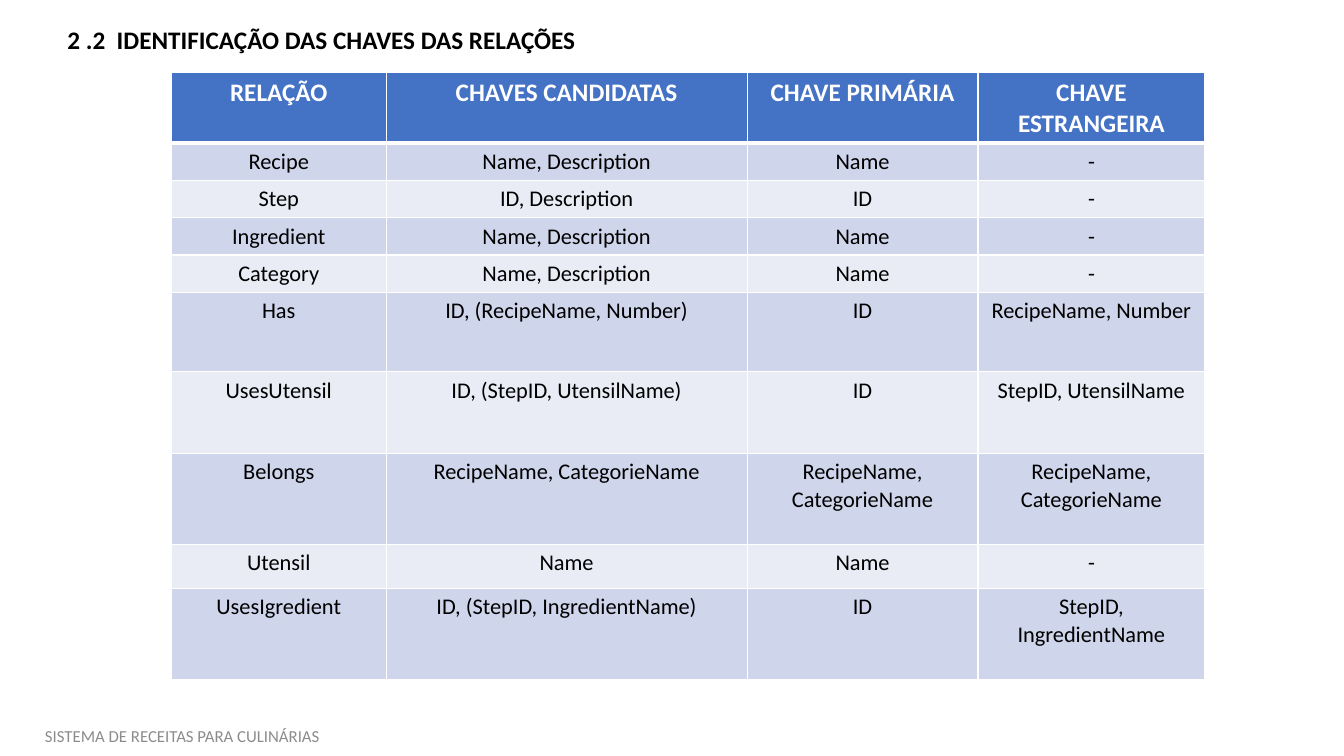
from lxml import etree
from pptx import Presentation
from pptx import util as u
from pptx.dml import color
from pptx.enum import text
from pptx.oxml import ns

FONT = "Calibri"
BLACK, WHITE, GREY = "000000", "FFFFFF", "8C8C8C"
HEADER_FILL = "4472C4"
BAND_FILLS = ["CFD5EA", "E9EBF5"]

COL_WIDTHS = [2.13, 3.58, 2.29, 2.25]
ROW_HEIGHTS = [0.69] + [0.37] * 4 + [0.79, 0.81, 0.9, 0.44, 0.9]
RELATIONS = [
    ["RELAÇÃO", "CHAVES CANDIDATAS", "CHAVE PRIMÁRIA", "CHAVE ESTRANGEIRA"],
    ["Recipe", "Name, Description", "Name", "-"],
    ["Step", "ID, Description", "ID", "-"],
    ["Ingredient", "Name, Description", "Name", "-"],
    ["Category", "Name, Description", "Name", "-"],
    ["Has", "ID, (RecipeName, Number)", "ID", "RecipeName, Number"],
    ["UsesUtensil", "ID, (StepID, UtensilName)", "ID", "StepID, UtensilName"],
    ["Belongs"] + ["RecipeName, CategorieName"] * 3,
    ["Utensil", "Name", "Name", "-"],
    ["UsesIgredient", "ID, (StepID, IngredientName)", "ID", "StepID, IngredientName"],
]


def rgb(value):
    """Turn a hex string into a colour."""
    return color.RGBColor.from_string(value)


def write(tf, words, size, fill, bold=False, align=text.PP_ALIGN.CENTER):
    """Write one formatted run into the first paragraph."""
    p = tf.paragraphs[0]
    p.alignment = align
    r = p.add_run()
    r.text = words
    r.font.name = FONT
    r.font.size = u.Pt(size)
    r.font.bold = bold
    r.font.color.rgb = rgb(fill)


def add_text_box(s, box, wrap, anchor):
    """Add a text box and return its text frame."""
    tf = s.shapes.add_textbox(*map(u.Inches, box)).text_frame
    tf.word_wrap = wrap
    tf.vertical_anchor = anchor
    return tf


def set_border(cell, side, width):
    """Draw a white border on one side (L, R, T or B) of a cell."""
    ln = etree.SubElement(cell._tc.get_or_add_tcPr(), ns.qn("a:ln" + side),
                          w=str(u.Pt(width)))
    fill = etree.SubElement(ln, ns.qn("a:solidFill"))
    etree.SubElement(fill, ns.qn("a:srgbClr"), val=WHITE)


def fill_cell(cell, words, row):
    """Style a cell by its row: header first, then alternating bands."""
    header = row == 0
    thick_side = {0: "B", 1: "T"}.get(row)
    for side in "LRTB":
        set_border(cell, side, 3 if side == thick_side else 1)
    cell.fill.solid()
    cell.fill.fore_color.rgb = rgb(HEADER_FILL if header else BAND_FILLS[(row - 1) % 2])
    write(cell.text_frame, words, 18 if header else 16,
          WHITE if header else BLACK, bold=header)


def add_relations_table(s, left, top):
    """Add the table of relations and their keys."""
    size = (sum(COL_WIDTHS), sum(ROW_HEIGHTS))
    table = s.shapes.add_table(len(RELATIONS), len(COL_WIDTHS),
                               *map(u.Inches, (left, top, *size))).table
    for col, width in zip(table.columns, COL_WIDTHS):
        col.width = u.Inches(width)
    for row, height in zip(table.rows, ROW_HEIGHTS):
        row.height = u.Inches(height)
    for i, relation in enumerate(RELATIONS):
        for j, words in enumerate(relation):
            fill_cell(table.cell(i, j), words, i)


def main():
    """Build the slide and save it."""
    prs = Presentation()
    prs.slide_width, prs.slide_height = u.Inches(13.33), u.Inches(7.5)
    s = prs.slides.add_slide(prs.slide_layouts[6])

    title = add_text_box(s, (0.57, 0.19, 5.29, 0.4), False, text.MSO_ANCHOR.TOP)
    title.auto_size = text.MSO_AUTO_SIZE.SHAPE_TO_FIT_TEXT
    write(title, "2 .2  IDENTIFICAÇÃO DAS CHAVES DAS RELAÇÕES", 18, BLACK,
          bold=True, align=text.PP_ALIGN.LEFT)
    footer = add_text_box(s, (-0.44, 7.1, 4.5, 0.4), True, text.MSO_ANCHOR.MIDDLE)
    write(footer, "SISTEMA DE RECEITAS PARA CULINÁRIAS", 12, GREY)
    add_relations_table(s, 1.7, 0.72)

    prs.save("out.pptx")


main()
